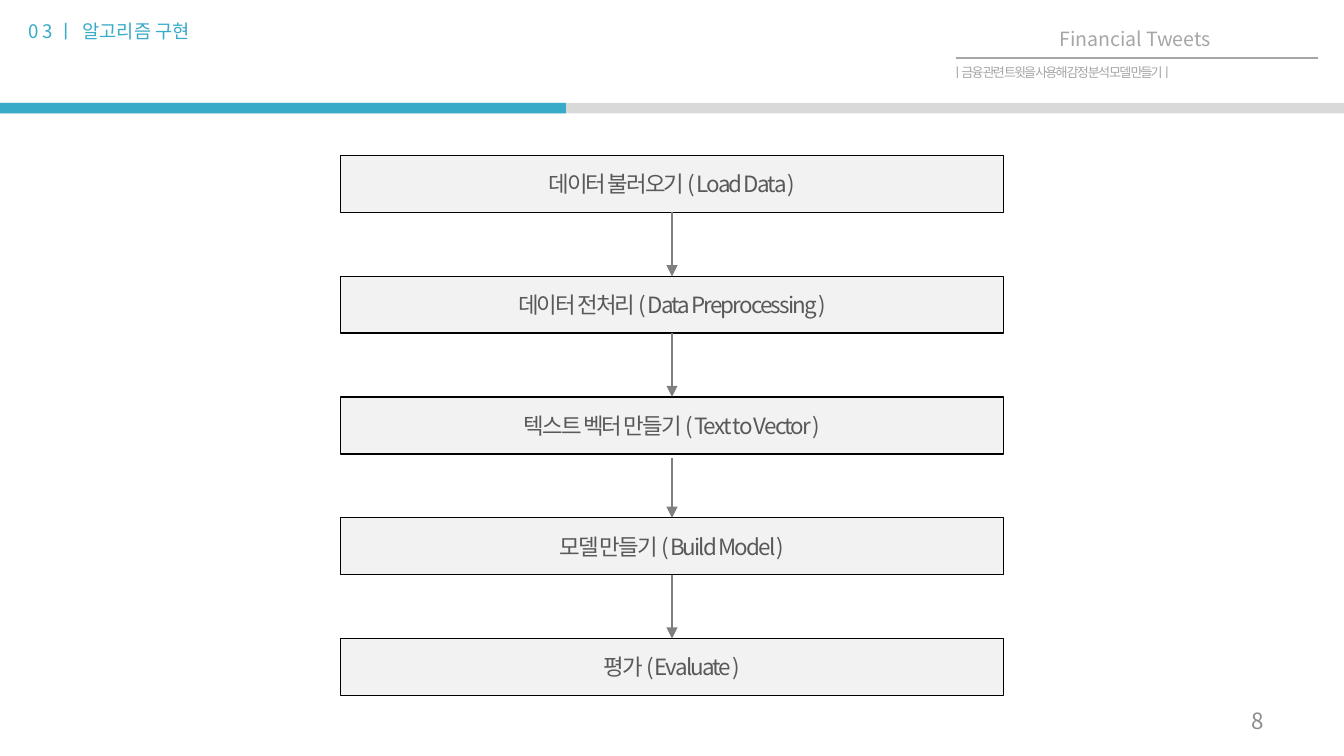
from dataclasses import dataclass

from lxml.etree import SubElement
from pptx import Presentation
from pptx.dml.color import RGBColor
from pptx.enum.shapes import MSO_CONNECTOR as Connector, MSO_SHAPE as Shape
from pptx.enum.text import MSO_ANCHOR as Anchor, MSO_AUTO_SIZE as AutoSize, PP_ALIGN as Align
from pptx.oxml.ns import qn
from pptx.util import Pt

FONT = "Noto Sans CJK KR"
ACCENT, RULE_GRAY, BAR_GRAY = "37ABC8", "A6A6A6", "D9D9D9"
BOX_FILL, BOX_TEXT, ARROW_GRAY, NUMBER_GRAY = "F2F2F2", "595959", "808080", "8C8C8C"
BLACK = "000000"


@dataclass(frozen=True)
class Area:
    left: float
    top: float
    width: float
    height: float

    def lengths(self) -> tuple:
        return Pt(self.left), Pt(self.top), Pt(self.width), Pt(self.height)


@dataclass(frozen=True)
class TextStyle:
    size: float
    color: str
    align: Align = Align.LEFT
    anchor: Anchor = Anchor.TOP
    spacing: float = 0


@dataclass(frozen=True)
class Label:
    text: str
    area: Area
    style: TextStyle


@dataclass(frozen=True)
class Step:
    text: str
    arrow_gap: float = 0  # space between the box and the arrow below it


def set_color(color_format, hex_color: str) -> None:
    color_format.rgb = RGBColor.from_string(hex_color)


def write_text(shape, text: str, style: TextStyle) -> None:
    frame = shape.text_frame
    frame.word_wrap = True
    frame.auto_size = AutoSize.NONE
    frame.vertical_anchor = style.anchor
    paragraph = frame.paragraphs[0]
    paragraph.text = text
    paragraph.alignment = style.align
    font = paragraph.font
    font.name = FONT
    font.size = Pt(style.size)
    set_color(font.fill_color if hasattr(font, "fill_color") else font.color, style.color)
    properties = paragraph.font._element
    if style.spacing:
        properties.set("spc", str(round(style.spacing * 100)))
    east_asian = SubElement(properties, qn("a:ea"))
    east_asian.set("typeface", FONT)


def add_label(slide, label: Label) -> None:
    write_text(slide.shapes.add_textbox(*label.area.lengths()), label.text, label.style)


def add_rectangle(slide, area: Area, fill: str, outline: str = ""):
    shape = slide.shapes.add_shape(Shape.RECTANGLE, *area.lengths())
    shape.shadow.inherit = False
    shape.fill.solid()
    set_color(shape.fill.fore_color, fill)
    if outline:
        set_color(shape.line.color, outline)
        shape.line.width = Pt(0.75)
    else:
        shape.line.fill.background()
    return shape


def add_line(slide, start: tuple[float, float], end: tuple[float, float],
             color: str, width: float, arrow: bool = False) -> None:
    line = slide.shapes.add_connector(
        Connector.STRAIGHT, *(Pt(value) for value in (*start, *end)))
    set_color(line.line.color, color)
    line.line.width = Pt(width)
    if arrow:
        SubElement(line.line._get_or_add_ln(), qn("a:tailEnd")).set("type", "triangle")
    SubElement(line._element.spPr, qn("a:effectLst"))


def add_flow(slide, steps: list[Step], first: Area, pitch: float) -> None:
    """Stack the step boxes and join each one to the next with an arrow."""
    style = TextStyle(12, BOX_TEXT, Align.CENTER, Anchor.MIDDLE, spacing=-1)
    center = first.left + first.width / 2
    tops = [first.top + index * pitch for index in range(len(steps))]
    for step, top in zip(steps, tops):
        area = Area(first.left, top, first.width, first.height)
        write_text(add_rectangle(slide, area, BOX_FILL, BLACK), step.text, style)
    for step, top, next_top in zip(steps, tops, tops[1:]):
        start = top + first.height + step.arrow_gap
        add_line(slide, (center, start), (center, next_top), ARROW_GRAY, 0.75, arrow=True)


TITLE = Label("0 3 ㅣ  알고리즘 구현", Area(8, 7.2, 165, 19.5), TextStyle(10, ACCENT))
LABELS = [
    Label("8", Area(516.2, 375.1, 168, 21.6),
          TextStyle(12, NUMBER_GRAY, Align.RIGHT, Anchor.MIDDLE)),
    Label("Financial Tweets", Area(512, 10.8, 192.2, 20.9),
          TextStyle(10.5, RULE_GRAY, Align.CENTER)),
    Label("ㅣ금융 관련 트윗을 사용해 감정 분석 모델 만들기ㅣ", Area(502.6, 31, 215.3, 15.8),
          TextStyle(7, RULE_GRAY, Align.JUSTIFY, spacing=-1)),
]
STEPS = [
    Step("데이터 불러오기 ( Load Data )"),
    Step("데이터 전처리 ( Data Preprocessing )"),
    Step("텍스트 벡터 만들기 ( Text to Vector )", arrow_gap=2.2),
    Step("모델 만들기 ( Build Model )"),
    Step("평가 ( Evaluate )"),
]


def main() -> None:
    presentation = Presentation()
    presentation.slide_width, presentation.slide_height = Pt(720), Pt(405)
    slide = presentation.slides.add_slide(presentation.slide_layouts[5])

    title = slide.shapes.title
    title.left, title.top, title.width, title.height = TITLE.area.lengths()
    write_text(title, TITLE.text, TITLE.style)

    for width, color in ((720, BAR_GRAY), (303.2, ACCENT)):
        add_rectangle(slide, Area(0, 55.2, width, 5.6), color)
    for label in LABELS:
        add_label(slide, label)
    add_line(slide, (512, 31), (706.2, 31), RULE_GRAY, 1)
    add_flow(slide, STEPS, Area(182.3, 83.3, 355.4, 30.5), pitch=64.7)

    presentation.save("out.pptx")


if __name__ == "__main__":
    main()
